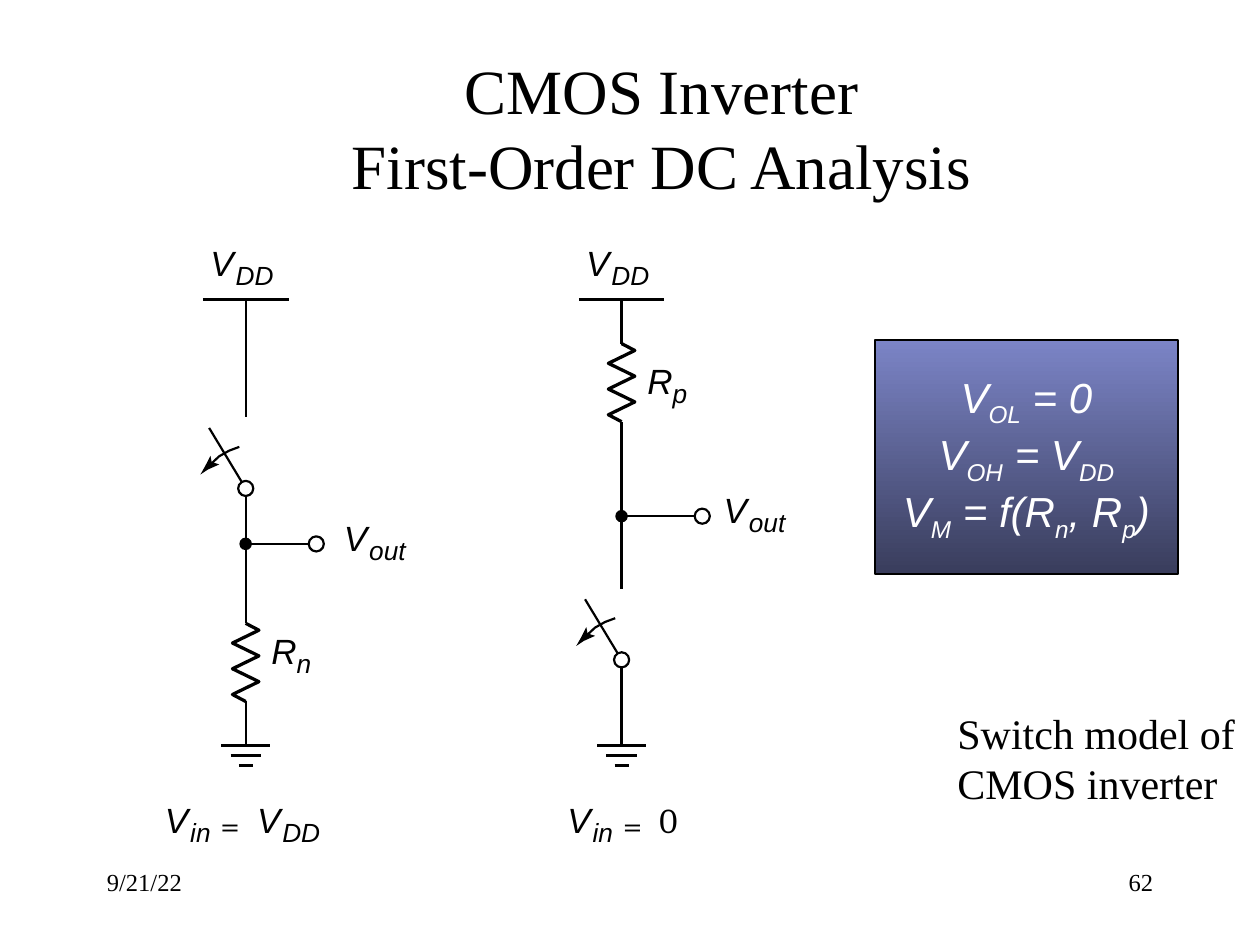
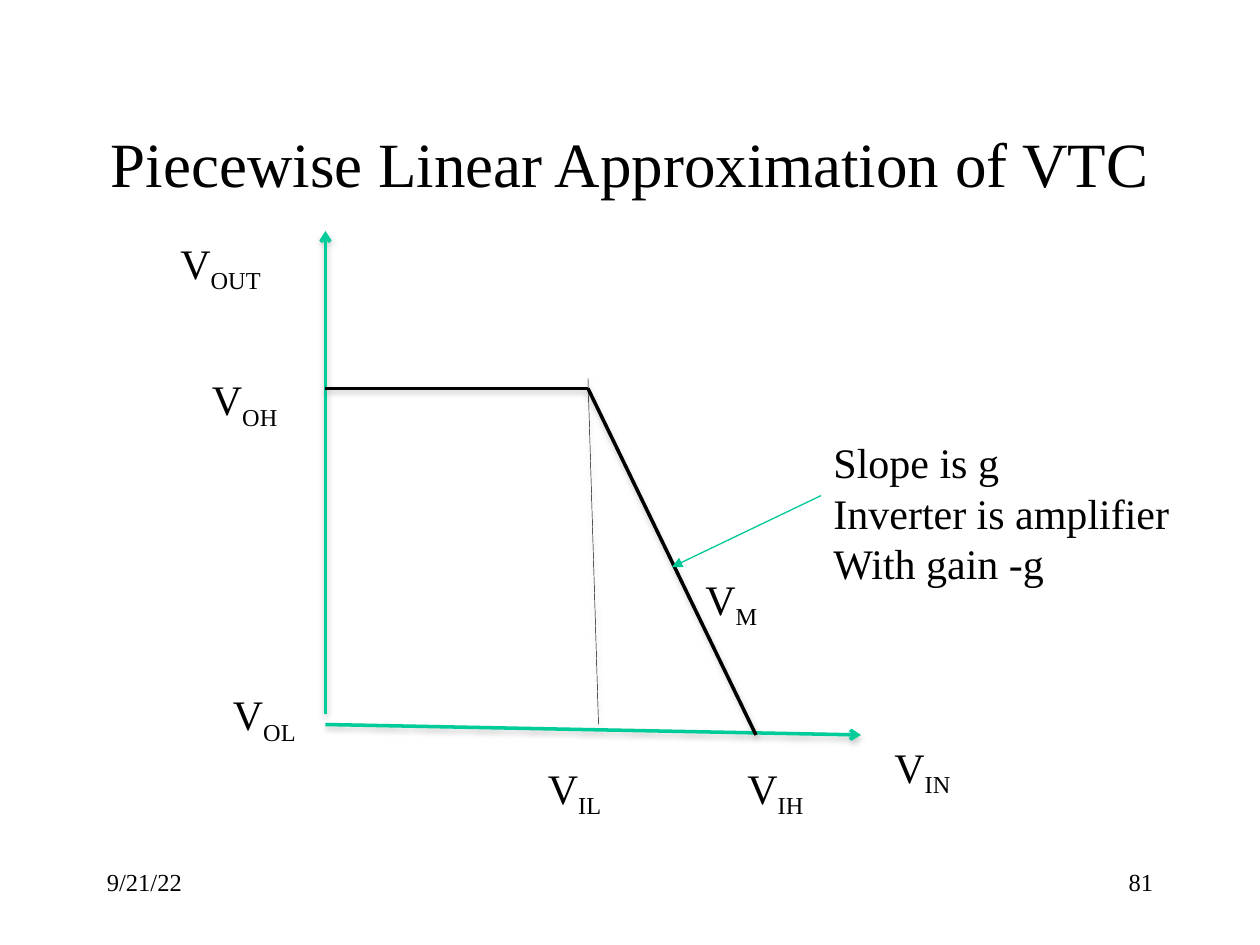
import dataclasses
import itertools

import pptx
import pptx.dml.color
import pptx.enum.dml
import pptx.enum.shapes
import pptx.enum.text
import pptx.oxml
import pptx.oxml.ns
import pptx.util

ALIGN = pptx.enum.text.PP_ALIGN
ANCHOR = pptx.enum.text.MSO_ANCHOR
SHAPE = pptx.enum.shapes.MSO_SHAPE


@dataclasses.dataclass(frozen=True)
class Theme:
    ink: str = "000000"
    paper: str = "FFFFFF"
    axis: str = "00CC99"
    pointer: str = "00C896"
    shade: str = "808080"
    panel: tuple = ("7B84C6", "393D5C")
    serif: str = "Times New Roman"
    sans: str = "Arial"
    math: str = "Cambria"
    title: int = 36
    body: int = 24
    symbol: int = 20
    index: int = 15
    footer: int = 14
    thin: float = 1.25
    thick: float = 1.88
    curve: float = 2


THEME = Theme()


@dataclasses.dataclass(frozen=True)
class Grid:
    """Square cells counted from a corner; corner and cell size in inches."""
    left: float
    top: float
    cell: float

    def length(self, cells):
        return pptx.util.Inches(cells * self.cell)

    def point(self, col, row):
        return (pptx.util.Inches(self.left + col * self.cell),
                pptx.util.Inches(self.top + row * self.cell))

    def area(self, col, row, cols, rows):
        return *self.point(col, row), self.length(cols), self.length(rows)

    def inner(self, col, row, cell):
        return Grid(self.left + col * self.cell, self.top + row * self.cell, cell)


PAGE = Grid(0, 0, 1 / 12)  # 120 columns by 90 rows


@dataclasses.dataclass(frozen=True)
class Inverter:
    """State of the switch model; rows are counted from the top of its circuit."""
    pivot: float
    resistor: float
    resistor_index: str
    label_drop: float
    output: float
    reach: float
    output_label: float
    input_col: float
    input_value: tuple


LOW_OUTPUT = Inverter(19.6, 30.3, "n", 0.5, 24, 5, 7.8, -6.4, ("V", "DD"))
HIGH_OUTPUT = Inverter(33.2, 8.1, "p", 1.3, 21.8, 5.8, 8.1, -4.3, ("0", ""))


def rgb(colour):
    return pptx.dml.color.RGBColor.from_string(colour)


def fill_text(frame, text, font=THEME.serif, size=THEME.body, colour=THEME.ink,
              italic=False, align=ALIGN.LEFT, anchor=ANCHOR.TOP, inset=True):
    """Newlines part paragraphs; parts between bars are subscripts."""
    frame.word_wrap = True
    frame.vertical_anchor = anchor
    if not inset:
        frame.margin_left = frame.margin_right = 0
        frame.margin_top = frame.margin_bottom = 0
    for number, line in enumerate(text.split("\n")):
        paragraph = frame.add_paragraph() if number else frame.paragraphs[0]
        paragraph.alignment = align
        for order, part in enumerate(line.split("|")):
            if not part:
                continue
            run = paragraph.add_run()
            run.text = part
            run.font.name = font
            run.font.size = pptx.util.Pt(size)
            run.font.italic = italic
            run.font.color.rgb = rgb(colour)
            if order % 2:
                run.font._element.set("baseline", "-25000")


def write(slide, area, text, **style):
    fill_text(slide.shapes.add_textbox(*area).text_frame, text, **style)


def ink(shape, fill=None, line=None):
    """Set fill colour and line width, None for neither."""
    shape.shadow.inherit = False
    if fill:
        shape.fill.solid()
        shape.fill.fore_color.rgb = rgb(fill)
    else:
        shape.fill.background()
    if line:
        shape.line.color.rgb = rgb(THEME.ink)
        shape.line.width = pptx.util.Pt(line)
    else:
        shape.line.fill.background()


def connect(slide, grid, start, end, width=THEME.thin, colour=THEME.ink,
            head=None, shadow=False):
    wire = slide.shapes.add_connector(pptx.enum.shapes.MSO_CONNECTOR.STRAIGHT,
                                      *grid.point(*start), *grid.point(*end))
    wire.line.color.rgb = rgb(colour)
    wire.line.width = pptx.util.Pt(width)
    if head:
        tail = pptx.oxml.parse_xml(
            f'<a:tailEnd {pptx.oxml.ns.nsdecls("a")} type="{head}"/>')
        wire.line._get_or_add_ln().append(tail)
    cast = (f'<a:outerShdw blurRad="39370" dist="20320" dir="5400000" rotWithShape="0">'
            f'<a:srgbClr val="{THEME.shade}"><a:alpha val="38000"/></a:srgbClr>'
            f'</a:outerShdw>') if shadow else ""
    wire._element.spPr.append(pptx.oxml.parse_xml(
        f'<a:effectLst {pptx.oxml.ns.nsdecls("a")}>{cast}</a:effectLst>'))


def outline(slide, grid, points, close=False, fill=None, line=None):
    first, *rest = [grid.point(*point) for point in points]
    builder = slide.shapes.build_freeform(*first)
    builder.add_line_segments(rest, close=close)
    ink(builder.convert_to_shape(), fill, line)


def disc(slide, grid, col, row, size, fill=None, line=None):
    area = grid.area(col - size / 2, row - size / 2, size, size)
    ink(slide.shapes.add_shape(SHAPE.OVAL, *area), fill, line)


def symbol(slide, grid, col, row, letter, index="", font=THEME.sans):
    """Letter with its index set lower at the right."""
    style = dict(font=font, italic=font == THEME.sans, inset=False)
    write(slide, grid.area(col, row, 2, 3.3), letter, size=THEME.symbol, **style)
    if index:
        write(slide, grid.area(col + 2, row + 1.4, 1.6 * len(index), 2.5), index,
              size=THEME.index, **style)


def resistor(slide, grid, top, index, label_drop):
    zigzag = [(1.05 * (-1) ** turn, top + 0.55 + 1.02 * turn) for turn in range(6)]
    outline(slide, grid, [(0, top), *zigzag, (0, top + 6.2)], line=THEME.thick)
    symbol(slide, grid, 2.05, top + label_drop, "R", index)


def open_switch(slide, grid, pivot):
    hinge = grid.inner(0, pivot, grid.cell)
    connect(slide, hinge, (0, 0), (-2.9, -4.8))
    outline(slide, hinge, [(-0.5, -3.3), (-1.3, -3), (-2.1, -2.55), (-2.8, -1.9)],
            line=THEME.thin)
    outline(slide, hinge, [(-2.7, -2.1), (-2.1, -1.9), (-3, -1.5), (-3.6, -1.1),
                           (-3.2, -1.8), (-2.8, -2.6)], close=True, fill=THEME.ink)
    disc(slide, hinge, 0, 0, 1.2, fill=THEME.paper, line=THEME.thin)


def circuit(slide, grid, inverter):
    """Draw from supply to ground, with column 0 on the vertical wire."""
    rail, ground = 4.6, 40
    symbol(slide, grid, -2.8, 0, "V", "DD")
    connect(slide, grid, (-3.4, rail), (3.4, rail))

    devices = sorted([(inverter.pivot - 5.65, inverter.pivot),
                      (inverter.resistor, inverter.resistor + 6.2)])
    ends = [rail, *itertools.chain(*devices), ground]
    for start, end in zip(ends[::2], ends[1::2]):
        connect(slide, grid, (0, start), (0, end))
    open_switch(slide, grid, inverter.pivot)
    resistor(slide, grid, inverter.resistor, inverter.resistor_index,
             inverter.label_drop)

    disc(slide, grid, 0, inverter.output, 1, fill=THEME.ink)
    connect(slide, grid, (0, inverter.output), (inverter.reach, inverter.output))
    disc(slide, grid, inverter.reach + 0.6, inverter.output, 1.2, line=THEME.thin)
    symbol(slide, grid, inverter.output_label, inverter.output - 2.2, "V", "out")

    for step, half in enumerate((1.95, 1.2, 0.55)):
        row = ground + 0.8 * step
        connect(slide, grid, (-half, row), (half, row), width=THEME.thick)

    col, row = inverter.input_col, 44.2
    letter, index = inverter.input_value
    symbol(slide, grid, col, row, "V", "in")
    symbol(slide, grid, col + 4.4, row + 0.4, "=", font=THEME.math)
    symbol(slide, grid, col + 7.3, row, letter, index,
           font=THEME.sans if index else THEME.math)


def results_panel(slide, area):
    panel = slide.shapes.add_shape(SHAPE.RECTANGLE, *area)
    ink(panel, line=1)
    panel.fill.gradient()
    panel.fill.gradient_angle = 270
    for stop, colour, position in zip(panel.fill.gradient_stops, THEME.panel, (0, 1)):
        stop.color.rgb = rgb(colour)
        stop.position = position
    fill_text(panel.text_frame, "V|OL| = 0\nV|OH| = V|DD|\nV|M| = f(R|n|, R|p|)",
              font=THEME.sans, colour=THEME.paper, italic=True,
              align=ALIGN.CENTER, anchor=ANCHOR.MIDDLE)


def transfer_curve(slide, grid):
    axis = dict(width=THEME.curve, colour=THEME.axis, head="arrow", shadow=True)
    connect(slide, grid, (15, 47), (66, 48), **axis)
    connect(slide, grid, (15, 46), (15, 0), **axis)
    knots = [(15, 15), (40, 15), (56, 48)]
    for start, end in zip(knots, knots[1:]):
        connect(slide, grid, start, end, width=THEME.curve, shadow=True)
    connect(slide, grid, (40, 14), (41, 47), width=0.25, shadow=True)

    for index, col, row in [("OUT", 0, 0), ("IN", 68, 48), ("OH", 3, 13),
                            ("OL", 5, 43), ("IL", 35, 50), ("IH", 54, 50),
                            ("M", 50, 32)]:
        cols = 13 if index == "OUT" else 9
        write(slide, grid.area(col, row, cols, 6.1), f"V|{index}|")

    write(slide, grid.area(62.2, 19, 36, 15.7),
          "Slope is g\nInverter is amplifier\nWith gain -g")
    connect(slide, grid, (62.2, 25.2), (48, 32), width=0.75,
            colour=THEME.pointer, head="triangle")


def start_slide(deck, title, title_area, number):
    slide = deck.slides.add_slide(deck.slide_layouts[6])
    write(slide, title_area, title, size=THEME.title,
          align=ALIGN.CENTER, anchor=ANCHOR.MIDDLE)
    for col, text, align in [(9, "9/21/22", ALIGN.LEFT), (86, number, ALIGN.RIGHT)]:
        write(slide, PAGE.area(col, 82, 25, 6), text, size=THEME.footer, align=align)
    return slide


def switch_model_slide(deck):
    slide = start_slide(deck, "CMOS Inverter\nFirst-Order DC Analysis",
                        PAGE.area(6, 6.6, 114, 11), "62")
    results_panel(slide, PAGE.area(83.3, 32.4, 28.9, 22.3))
    for col, inverter in [(23.4, LOW_OUTPUT), (59.2, HIGH_OUTPUT)]:
        circuit(slide, PAGE.inner(col, 23, 0.1), inverter)
    write(slide, PAGE.area(90, 66.8, 30, 11), "Switch model of\nCMOS inverter")


def transfer_slide(deck):
    slide = start_slide(deck, "Piecewise Linear Approximation of VTC",
                        PAGE.area(9, 8, 102, 15), "81")
    transfer_curve(slide, PAGE.inner(16, 22, PAGE.cell))


def main():
    deck = pptx.Presentation()
    deck.slide_width = pptx.util.Inches(10)
    deck.slide_height = pptx.util.Inches(7.5)
    switch_model_slide(deck)
    transfer_slide(deck)
    deck.save("out.pptx")


if __name__ == "__main__":
    main()
